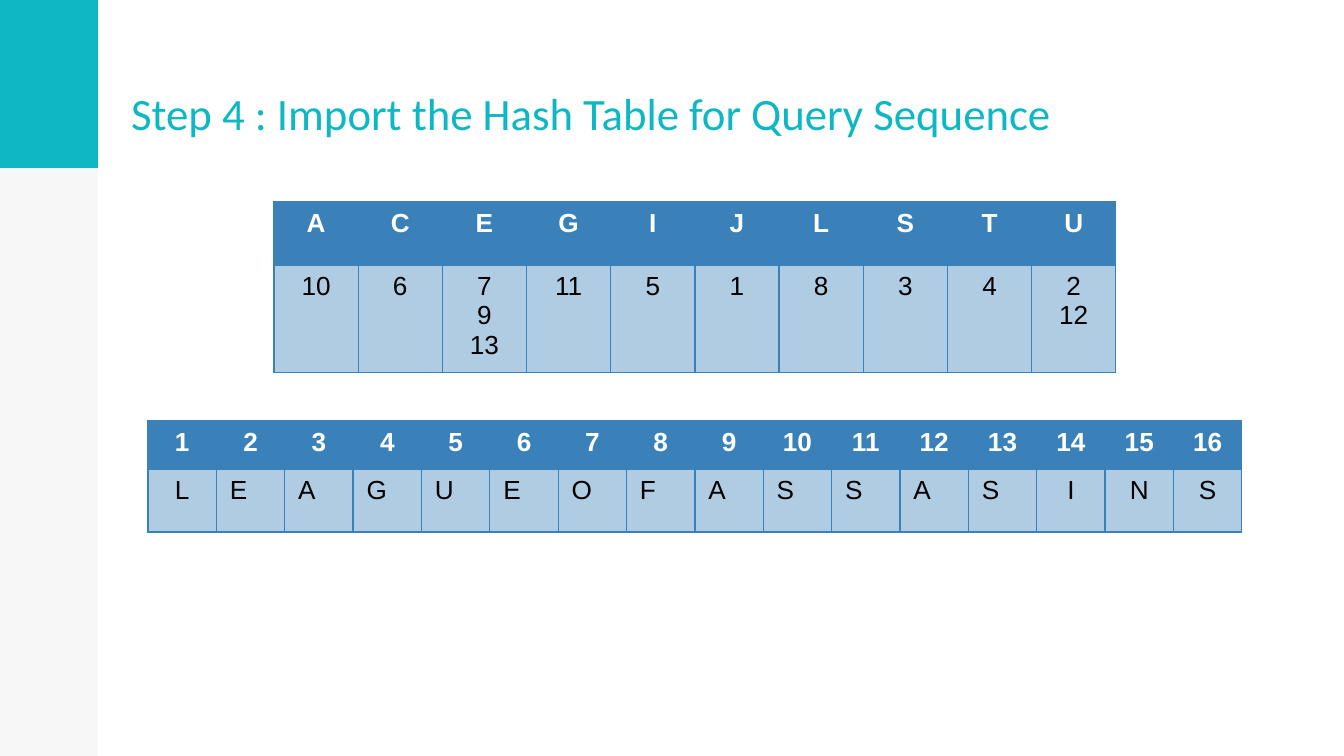
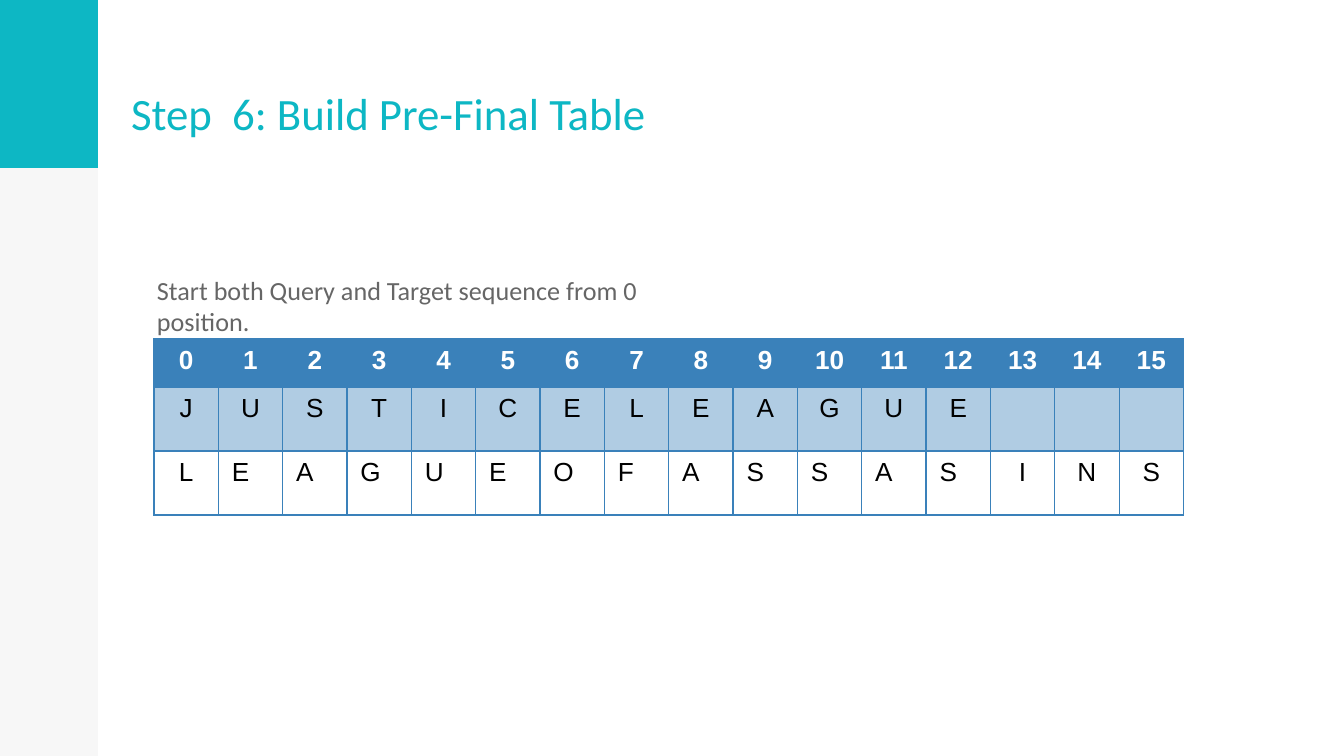
from lxml import etree
from pptx import Presentation
from pptx.dml.color import RGBColor
from pptx.enum.shapes import MSO_SHAPE
from pptx.enum.text import MSO_ANCHOR, PP_ALIGN
from pptx.oxml.ns import qn
from pptx.util import Pt

RECT = MSO_SHAPE.RECTANGLE
TOP, BOTTOM = MSO_ANCHOR.TOP, MSO_ANCHOR.BOTTOM
LEFT, CENTER = PP_ALIGN.LEFT, PP_ALIGN.CENTER

SCALE = 914400 / 134.4
WIDE, HIGH = 1344, 756
TEAL, BLUE, GRAY = "0DB7C4", "3A81BA", "666666"
BLACK, WHITE = "000000", "FFFFFF"

TITLE = {"name": "Calibri", "size": Pt(24), "color": TEAL}
NOTE = {"name": "Calibri", "size": Pt(14), "color": GRAY}
HEAD = {"name": "Arial", "size": Pt(14), "bold": True, "color": WHITE}
BODY = {"name": "Arial", "size": Pt(14), "bold": False, "color": BLACK}

QUERY = list("JUSTICELEAGUE") + [""] * 3
TARGET = list("LEAGUEOFASSASINS")
LOOSE = range(1, 13)


def px(num):
    return round(num * SCALE)


def place(box):
    return [px(num) for num in box]


def rgb(code):
    return RGBColor.from_string(code)


def style(font, look):
    for key, value in look.items():
        if key == "color":
            font.color.rgb = rgb(value)
        else:
            setattr(font, key, value)


def paint(fill, node, code, alpha=100):
    fill.solid()
    fill.fore_color.rgb = rgb(code)
    if alpha < 100:
        tone = node.find(qn("a:solidFill")).find(qn("a:srgbClr"))
        etree.SubElement(tone, qn("a:alpha")).set("val", str(alpha * 1000))


def edge(cell):
    props = cell._tc.get_or_add_tcPr()
    for spot, side in enumerate(("lnL", "lnR", "lnT", "lnB")):
        line = etree.Element(qn("a:" + side), w=str(Pt(0.75)))
        fill = etree.SubElement(line, qn("a:solidFill"))
        etree.SubElement(fill, qn("a:srgbClr"), val=BLUE)
        props.insert(spot, line)


def band(slide, box, code, alpha=100):
    shape = slide.shapes.add_shape(RECT, *place(box))
    shape.shadow.inherit = False
    shape.line.fill.background()
    paint(shape.fill, shape._element.spPr, code, alpha)


def label(slide, box, text, look, anchor, pad):
    frame = slide.shapes.add_textbox(*place(box)).text_frame
    form = {"word_wrap": True, "vertical_anchor": anchor,
            "margin_left": px(13), "margin_right": px(13),
            "margin_top": px(pad), "margin_bottom": px(pad)}
    for key, value in form.items():
        setattr(frame, key, value)
    frame.text = text
    style(frame.paragraphs[0].runs[0].font, look)


def page(deck, title):
    slide = deck.slides.add_slide(deck.slide_layouts[6])
    band(slide, (0, 0, 98, HIGH), BLACK, 3)
    band(slide, (0, 0, 98, 168), TEAL)
    label(slide, (118, 75, 1040, 78), title, TITLE, BOTTOM, 13)
    return slide


def grid(slide, left, top, width, highs, rows, loose=None):
    count = len(rows[0])
    box = place((left, top, width, sum(highs)))
    table = slide.shapes.add_table(len(rows), count, *box).table
    table.horz_banding = False
    for col in table.columns:
        col.width = px(width / count)
    for r, (high, row) in enumerate(zip(highs, rows)):
        table.rows[r].height = px(high)
        for c, text in enumerate(row):
            cell = table.cell(r, c)
            cell.text = str(text)
            code = WHITE if r == 2 else BLUE
            paint(cell.fill, cell._tc.tcPr, code, 40 if r == 1 else 100)
            edge(cell)
            for para in cell.text_frame.paragraphs:
                para.alignment = LEFT if r == loose and c in LOOSE else CENTER
                style(para.font, BODY if r else HEAD)
                for run in para.runs:
                    style(run.font, BODY if r else HEAD)


def hashes(deck):
    slide = page(deck, "Step 4 : Import the Hash Table for Query Sequence")
    grid(slide, 148, 421, 1094, (48, 63), (range(1, 17), TARGET), 1)
    spots = (10, 6, "7\n9\n13", 11, 5, 1, 8, 3, 4, "2\n12")
    grid(slide, 274, 202, 842, (63, 107), ("ACEGIJLSTU", spots))


def final(deck):
    slide = page(deck, "Step  6: Build Pre-Final Table")
    grid(slide, 154, 339, 1030, (48, 64, 64), (range(16), QUERY, TARGET), 2)
    label(slide, (144, 267, 569, 46),
          "Start both Query and Target sequence from 0 position.", NOTE, TOP, 7)


def main():
    deck = Presentation()
    deck.slide_width, deck.slide_height = px(WIDE), px(HIGH)
    hashes(deck)
    final(deck)
    deck.save("out.pptx")


if __name__ == "__main__":
    main()
